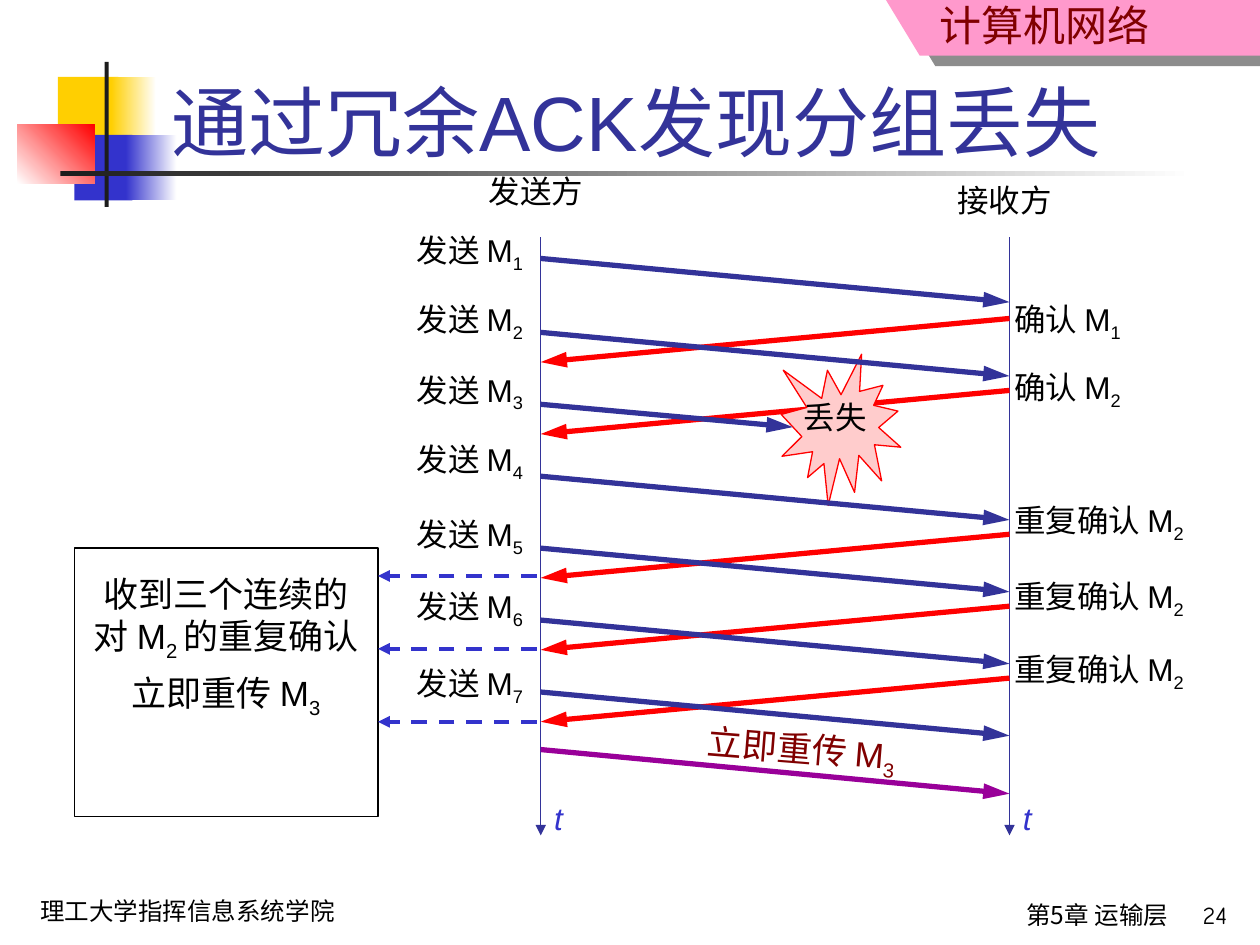
from lxml import etree
from pptx import Presentation
from pptx.dml.color import RGBColor
from pptx.enum.dml import MSO_LINE
from pptx.enum.shapes import MSO_CONNECTOR, MSO_SHAPE
from pptx.enum.text import MSO_ANCHOR, MSO_AUTO_SIZE, PP_ALIGN
from pptx.oxml.ns import qn
from pptx.util import Cm, Pt

RECT = MSO_SHAPE.RECTANGLE
BURST = MSO_SHAPE.EXPLOSION1
LINE = MSO_CONNECTOR.STRAIGHT
DASH = MSO_LINE.DASH
LEFT, MID, RIGHT = PP_ALIGN.LEFT, PP_ALIGN.CENTER, PP_ALIGN.RIGHT
TOP, BOTTOM = MSO_ANCHOR.TOP, MSO_ANCHOR.BOTTOM
FIXED = MSO_AUTO_SIZE.NONE

BLACK = RGBColor(0x00, 0x00, 0x00)
WHITE = RGBColor(0xFF, 0xFF, 0xFF)
DARK = RGBColor(0x1C, 0x1C, 0x1C)
NAVY = RGBColor(0x33, 0x33, 0x99)
BLUE = RGBColor(0x33, 0x33, 0xCC)
RED = RGBColor(0xFF, 0x00, 0x00)
ROSE = RGBColor(0xFF, 0xCC, 0xCC)
PINK = RGBColor(0xFF, 0x99, 0xCC)
GOLD = RGBColor(0xFF, 0xCF, 0x01)
WINE = RGBColor(0x80, 0x00, 0x00)
PLUM = RGBColor(0x99, 0x00, 0x99)

ARIAL, COMIC, NOTO = "Arial", "Comic Neue", "Noto Sans CJK SC"
SEND_X, RECV_X = 10.9, 20.35
DROP, STEP = 0.88, 1.45


def style(item, values):
    """Set each named value on an item."""
    for name, value in values.items():
        setattr(item, name, value)


def write(frame, lines, size=18, color=BLACK, font=ARIAL, align=LEFT, gap=0, italic=None):
    """Fill a frame with lines, where underscores switch subscripts on and off."""
    for row, line in enumerate(lines):
        para = frame.paragraphs[0] if row == 0 else frame.add_paragraph()
        para.alignment = align
        if row == len(lines) - 1 and row:
            para.space_before = Pt(gap)
        for part, text in enumerate(line.split("_")):
            run = para.add_run()
            run.text = text
            style(run.font, {"name": font, "size": Pt(size), "italic": italic})
            run.font.color.rgb = color
            if part % 2:
                run.font._element.set("baseline", "-25000")


def label(slide, text, x, y, wide, high=1.1, turn=0, top=0.13, **form):
    """Add a text box with one line."""
    box = slide.shapes.add_textbox(Cm(x), Cm(y), Cm(wide), Cm(high))
    box.rotation = turn
    style(box.text_frame, {"word_wrap": True, "margin_top": Cm(top)})
    write(box.text_frame, [text], **form)


def block(slide, kind, place, fill=None, edge=None):
    """Add a preset shape with a plain fill and an optional thin edge."""
    shape = slide.shapes.add_shape(kind, *map(Cm, place))
    shape.shadow.inherit = False
    if fill is None:
        shape.fill.background()
    else:
        shape.fill.solid()
        shape.fill.fore_color.rgb = fill
    if edge is None:
        shape.line.fill.background()
    else:
        shape.line.color.rgb = edge
        shape.line.width = Pt(0.75)
    return shape


def fade(slide, place, start, end, angle=0):
    """Add a rectangle that fades between two colours."""
    fill = block(slide, RECT, place).fill
    fill.gradient()
    fill.gradient_angle = angle
    for stop, color in zip(fill.gradient_stops, (start, end)):
        stop.color.rgb = color


def arrow(slide, start, end, color, width=3, size="lg", dash=None):
    """Add a line with a filled arrowhead at its end."""
    line = slide.shapes.add_connector(LINE, *map(Cm, (*start, *end)))
    line.line.color.rgb = color
    style(line.line, {"width": Pt(width), "dash_style": dash})
    props = line._element.spPr
    etree.SubElement(props.find(qn("a:ln")), qn("a:tailEnd"), type="triangle", w="med", len=size)
    etree.SubElement(props, qn("a:effectLst"))


def banner(slide):
    """Add the course banner with its offset shadow."""
    build = slide.shapes.build_freeform(Cm(17.86), 0)
    build.add_line_segments([(Cm(18.54), Cm(1.12)), (Cm(25.4), Cm(1.12)), (Cm(25.4), 0)])
    shape = build.convert_to_shape()
    shape.shadow.inherit = False
    shape.fill.solid()
    shape.fill.fore_color.rgb = PINK
    shape.line.fill.background()
    effect = shape._element.spPr.find(qn("a:effectLst"))
    cast = etree.SubElement(effect, qn("a:outerShdw"), dist=str(Pt(10.8)), dir="2040000", algn="ctr")
    tint = etree.SubElement(cast, qn("a:srgbClr"), val=str(DARK))
    etree.SubElement(tint, qn("a:alpha"), val="50000")
    label(slide, "计算机网络", 14.78, 0, 8.64, top=0, size=24, color=WINE, font=NOTO, align=RIGHT)


def decor(slide):
    """Add the coloured squares and the rules beside the title."""
    block(slide, RECT, (1.17, 1.55, 1.22, 1.32), GOLD)
    fade(slide, (2.24, 1.55, 0.91, 1.32), GOLD, WHITE)
    block(slide, RECT, (1.5, 2.72, 1.17, 1.32), BLUE)
    fade(slide, (2.54, 2.72, 1.02, 1.32), BLUE, WHITE)
    fade(slide, (0.35, 2.52, 1.56, 1.18), WHITE, RED, 45)
    block(slide, RECT, (2.11, 1.25, 0.08, 2.92), DARK)
    fade(slide, (1.22, 3.45, 22.86, 0.1), DARK, WHITE)


def head(slide):
    """Place the title in front of the squares."""
    title = slide.shapes.title
    style(title, {"left": Cm(3.2), "top": Cm(0.58), "width": Cm(21.64), "height": Cm(2.92)})
    style(title.text_frame, {"vertical_anchor": BOTTOM, "auto_size": FIXED, "word_wrap": True})
    write(title.text_frame, ["通过冗余ACK发现分组丢失"], size=44, color=NAVY)
    title._element.getparent().append(title._element)


def flow(slide):
    """Add the time axes, messages, replies and the lost packet."""
    for x, name, y in ((SEND_X, "发送方", 3.33), (RECV_X, "接收方", 3.51)):
        label(slide, name, x - 1.3, y, 2.8)
        arrow(slide, (x, 4.78), (x, 16.84), NAVY, 0.75, "med")
        label(slide, "t", x + 0.02, 15.98, 0.8, color=BLUE, italic=True)

    replies = ((0, "确认 M_1", 5.92), (1, "确认 M_2", 7.29), (3, "重复确认 M_2", 9.98),
               (4, "重复确认 M_2", 11.51), (5, "重复确认 M_2", 12.98))
    for slot, text, top in replies:
        y = 6.42 + slot * STEP
        arrow(slide, (RECV_X, y), (SEND_X, y + DROP), RED)
        label(slide, text, 20.2, top, 4.6)

    block(slide, BURST, (15.75, 7.14, 2.41, 3.05), ROSE, RED)
    label(slide, "丢失", 15.95, 7.9, 2.1)

    starts = [5.21] + [6.7 + slot * STEP for slot in range(6)]
    tops = (4.52, 5.92, 7.34, 8.74, 10.26, 11.71, 13.26)
    for num, (y, top) in enumerate(zip(starts, tops), 1):
        end = (15.98, 8.61) if num == 3 else (RECV_X, y + DROP)
        arrow(slide, (SEND_X, y), end, NAVY)
        label(slide, f"发送 M_{num}", 8.15, top, 3.2)

    arrow(slide, (SEND_X, 15.11), (RECV_X, 16), PLUM)
    label(slide, "立即重传 M_3", 14, 14.55, 4.9, 1.22, 4.6, size=20, color=WINE)


def note(slide):
    """Add the box on repeated replies and the dashed arrows into it."""
    box = block(slide, RECT, (1.5, 11.05, 6.12, 5.41), edge=BLACK)
    style(box.text_frame, {"word_wrap": True, "vertical_anchor": TOP, "margin_top": Cm(0.5)})
    lines = ["收到三个连续的", "对 M_2 _的重复确认", "立即重传 M_3"]
    write(box.text_frame, lines, size=20, align=MID, gap=5)
    for slot in range(3):
        y = 11.61 + slot * 1.47
        arrow(slide, (10.82, y), (7.62, y), BLUE, 2.25, "med", DASH)


def foot(slide):
    """Add the school, the chapter and the page number."""
    label(slide, "理工大学指挥信息系统学院", 0.56, 17.93, 7.9, 0.86, size=14, font=COMIC)
    label(slide, "第5章 运输层", 10.9, 18.01, 12.9, 1.04, size=14, font=NOTO, align=RIGHT)
    label(slide, "24", 22.99, 18.01, 2, 0.97, size=14, font=COMIC, align=RIGHT)


def main():
    """Build and save the slide."""
    deck = Presentation()
    style(deck, {"slide_width": Cm(25.4), "slide_height": Cm(19.05)})
    slide = deck.slides.add_slide(deck.slide_layouts[5])
    for part in (banner, decor, head, flow, note, foot):
        part(slide)
    deck.save("out.pptx")


if __name__ == "__main__":
    main()
